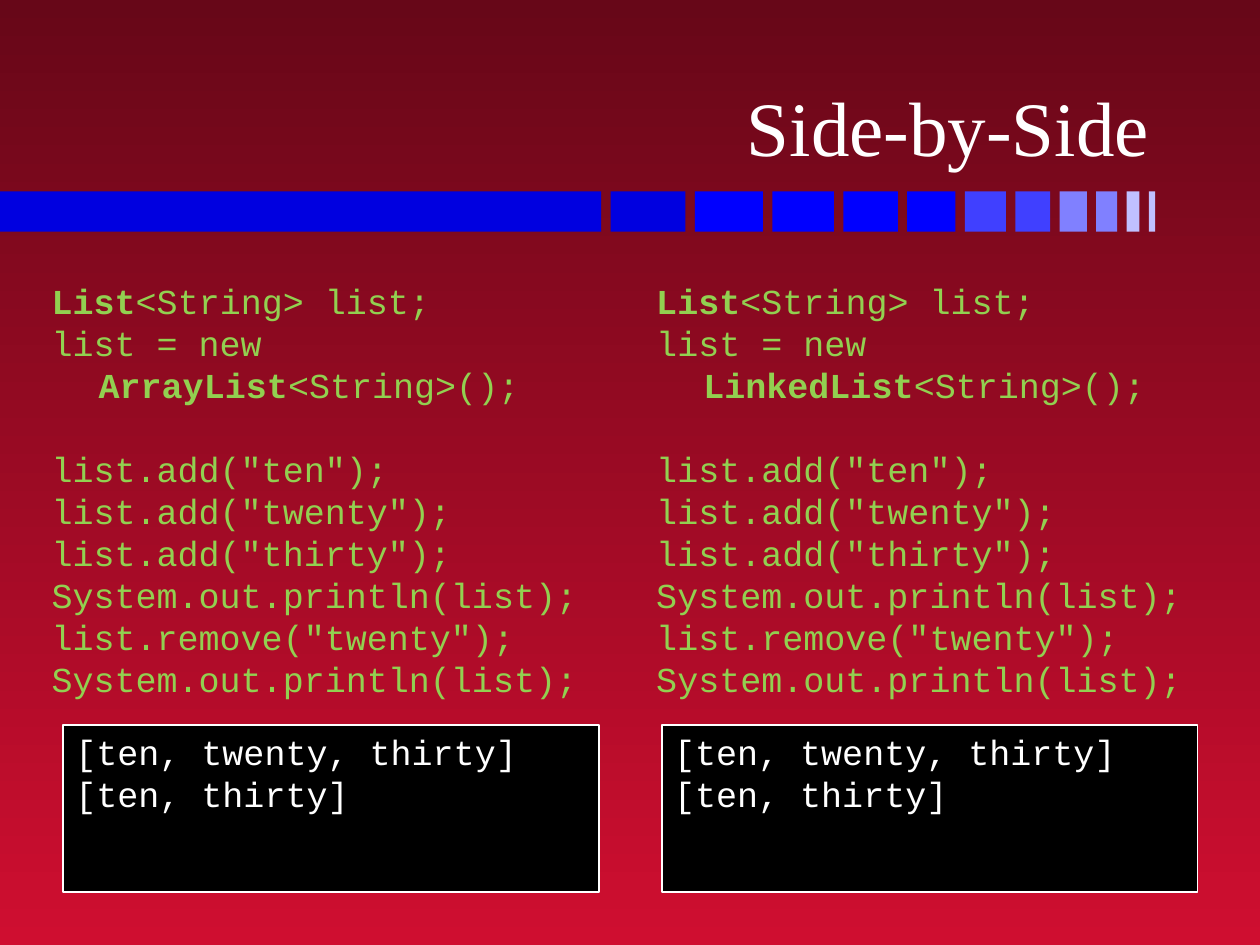
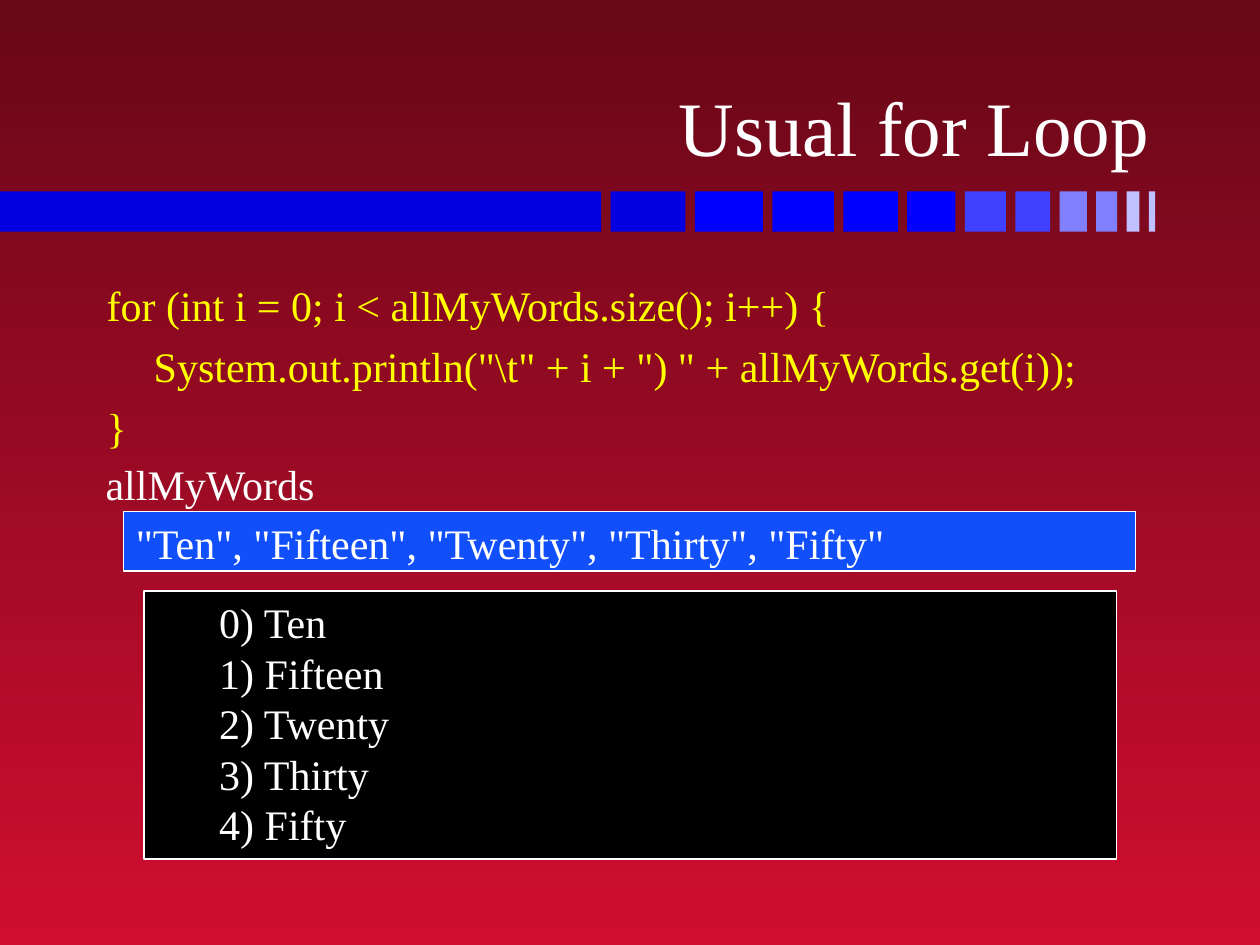
from pptx import Presentation
from pptx.dml.color import RGBColor
from pptx.enum.shapes import MSO_SHAPE
from pptx.enum.text import MSO_ANCHOR, MSO_AUTO_SIZE, PP_ALIGN
from pptx.util import Cm, Pt

RECT = MSO_SHAPE.RECTANGLE
TOP, BOTTOM = MSO_ANCHOR.TOP, MSO_ANCHOR.BOTTOM
LEFT, RIGHT = PP_ALIGN.LEFT, PP_ALIGN.RIGHT
GROW = MSO_AUTO_SIZE.SHAPE_TO_FIT_TEXT

DARK = RGBColor(0x67, 0x07, 0x18)
RED = RGBColor(0xCF, 0x0E, 0x30)
WHITE = RGBColor(0xFF, 0xFF, 0xFF)
BLACK = RGBColor(0x00, 0x00, 0x00)
GREEN = RGBColor(0x92, 0xD0, 0x50)
YELLOW = RGBColor(0xFF, 0xFF, 0x00)
AZURE = RGBColor(0x11, 0x4F, 0xFB)
NAVY = RGBColor(0x00, 0x00, 0xE0)
BLUE = RGBColor(0x00, 0x00, 0xFF)
MID = RGBColor(0x40, 0x40, 0xFF)
LIGHT = RGBColor(0x80, 0x80, 0xFF)
PALE = RGBColor(0xC0, 0xC0, 0xFF)

SERIF, MONO = "Times New Roman", "Courier New"
HANG = Cm(0.95)
GAP = 0.19
BAND = [(12.12, NAVY), (1.51, NAVY), (1.37, BLUE), (1.24, BLUE),
        (1.1, BLUE), (0.97, BLUE), (0.83, MID), (0.7, MID),
        (0.55, LIGHT), (0.42, LIGHT), (0.26, PALE), (0.13, PALE)]


def block(slide, area, fill, edge=None):
    shape = slide.shapes.add_shape(RECT, *[Cm(n) for n in area])
    shape.shadow.inherit = False
    shape.fill.solid()
    shape.fill.fore_color.rgb = fill
    if edge is None:
        shape.line.fill.background()
    else:
        shape.line.color.rgb = edge
        shape.line.width = Pt(1)
    return shape


def write(shape, lines, size, font, color, anchor=TOP, align=LEFT):
    frame = shape.text_frame
    frame.word_wrap = True
    frame.vertical_anchor = anchor
    frame.text = "\n".join(lines)
    for para, line in zip(frame.paragraphs, lines):
        para.alignment = align
        para.line_spacing = Pt(size * 1.2)
        para.text = ""
        for spot, part in enumerate(line.split("|")):
            if part:
                run = para.add_run()
                run.text = part
                run.font.name = font
                run.font.size = Pt(size)
                run.font.bold = spot % 2 == 1
                run.font.color.rgb = color
    return frame


deck = Presentation()
deck.slide_width, deck.slide_height = Cm(25.4), Cm(19.05)
pages = []

for title in ("Side-by-Side", "Usual for Loop"):
    slide = deck.slides.add_slide(deck.slide_layouts[6])
    pages.append(slide)
    back = slide.background.fill
    back.gradient()
    back.gradient_angle = 270
    for stop, color in zip(back.gradient_stops, (DARK, RED)):
        stop.color.rgb = color
    left = 0
    for width, color in BAND:
        block(slide, (left, 3.86, width, 0.81), color)
        left += width + GAP
    head = slide.shapes.add_textbox(Cm(1.88), Cm(0.48), Cm(21.54), Cm(3.12))
    write(head, [title], 44, SERIF, WHITE, BOTTOM, RIGHT)

pair, loop = pages

for kind, left, width, edge in (("ArrayList", 0.79, 11.43, 1.27),
                                ("LinkedList", 12.98, 11.63, 13.34)):
    code = pair.shapes.add_textbox(Cm(left), Cm(5.51), Cm(width), Cm(11.43))
    frame = write(code, [
        "|List|<String> list;",
        f"list = new |{kind}|<String>();",
        'list.add("ten");',
        'list.add("twenty");',
        'list.add("thirty");',
        "System.out.println(list);",
        'list.remove("twenty");',
        "System.out.println(list);",
    ], 20, MONO, GREEN)
    for para in frame.paragraphs:
        props = para._p.get_or_add_pPr()
        props.set("marL", str(HANG))
        props.set("indent", str(-HANG))
    frame.paragraphs[2].space_before = Pt(24)
    shell = block(pair, (edge, 14.61, 10.8, 3.38), BLACK, WHITE)
    write(shell, ["[ten, twenty, thirty]", "[ten, thirty]"], 20, MONO, WHITE)

code = loop.shapes.add_textbox(Cm(1.9), Cm(5.51), Cm(21.59), Cm(11.43))
frame = write(code, [
    "for (int i = 0; i < allMyWords.size(); i++) {",
    '\tSystem.out.println("\\t" + i + ") " + allMyWords.get(i));',
    "}",
], 24, SERIF, YELLOW)
for row, para in enumerate(frame.paragraphs):
    props = para._p.get_or_add_pPr()
    props.set("marL", str(HANG))
    props.set("indent", str(-HANG))
    if row:
        para.space_before = Pt(6)

words = ["Ten", "Fifteen", "Twenty", "Thirty", "Fifty"]
store = block(loop, (2.49, 10.31, 20.4, 1.21), AZURE, WHITE)
write(store, [", ".join(f'"{word}"' for word in words)], 24, SERIF, WHITE)

label = loop.shapes.add_textbox(Cm(1.88), Cm(9.12), Cm(4.78), Cm(1.27))
frame = write(label, ["allMyWords"], 24, SERIF, WHITE)
frame.word_wrap = False
frame.auto_size = GROW

shell = block(loop, (2.9, 11.91, 19.61, 5.41), BLACK, WHITE)
write(shell, [f"\t{n}) {word}" for n, word in enumerate(words)],
      24, SERIF, WHITE)

deck.save("out.pptx")
